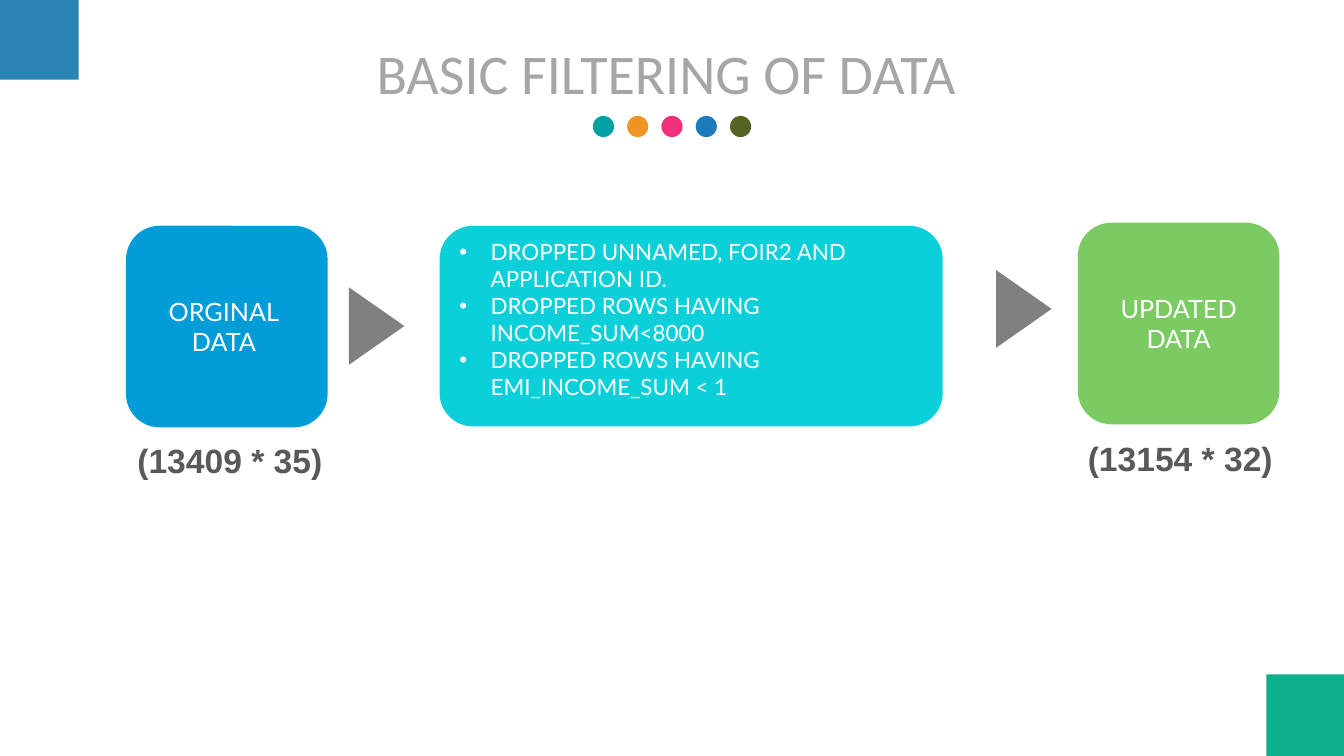
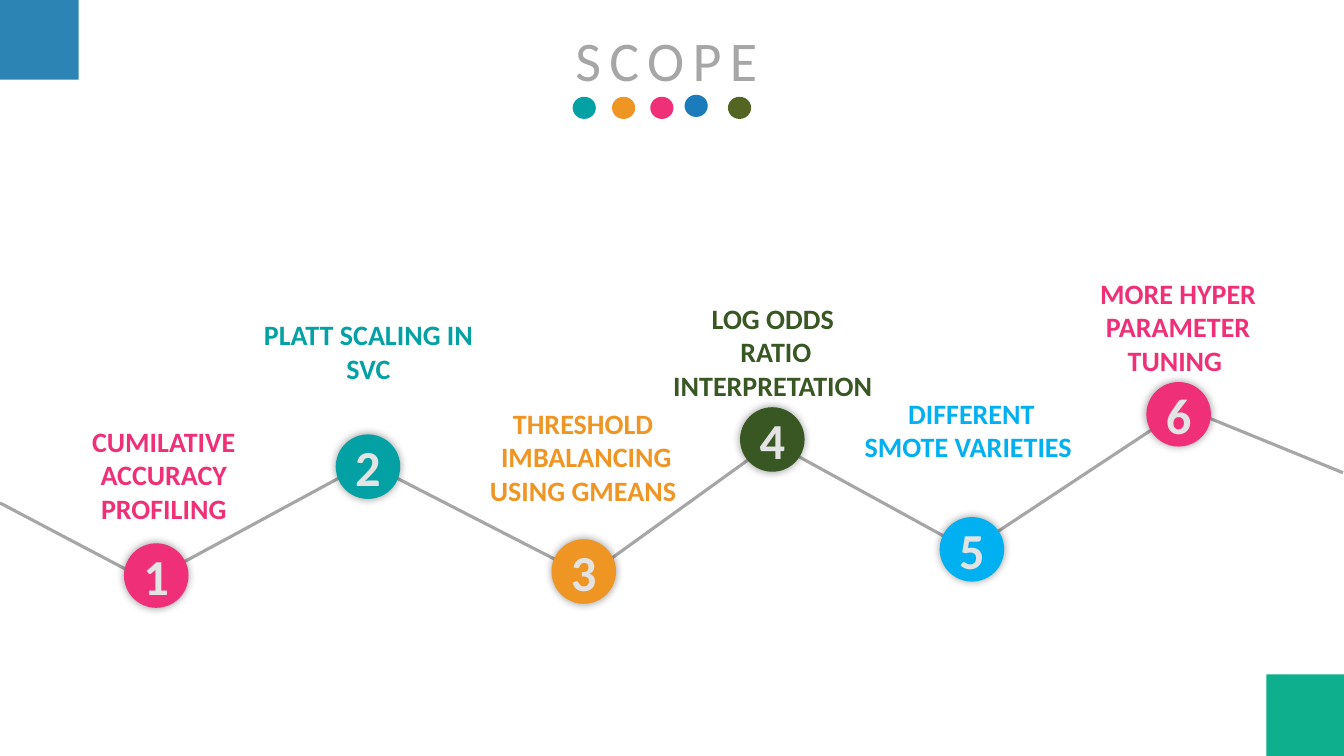
from dataclasses import dataclass

from lxml import etree
from pptx import Presentation
from pptx.dml.color import RGBColor
from pptx.enum.shapes import MSO_CONNECTOR, MSO_SHAPE
from pptx.enum.text import MSO_ANCHOR, MSO_AUTO_SIZE, PP_ALIGN
from pptx.oxml.ns import qn
from pptx.util import Inches, Pt


@dataclass(frozen=True)
class TextStyle:
    size: int
    font: str
    color: str
    bold: bool = False


class Theme:
    TEAL, ORANGE, PINK = "03A1A4", "EE9524", "EF3078"
    BLUE, OLIVE = "1C7CBB", "546422"
    FOREST, SKY = "385723", "00B0F0"
    CARD_BLUE, CARD_CYAN, CARD_GREEN = "009DD9", "0BD0D9", "7CCA62"
    CORNER_BLUE, CORNER_GREEN = "2C84B4", "0EAF8D"
    ARROW, PATH = "808080", "A6A6A6"
    DOTS = (TEAL, ORANGE, PINK, BLUE, OLIVE)

    TITLE = TextStyle(40, "Calibri", "A6A6A6")
    CARD = TextStyle(18, "Lato", "FFFFFF")
    STEPS = TextStyle(16, "Lato", "FFFFFF")
    COUNT = TextStyle(24, "Arial", "595959", True)
    NUMBER = TextStyle(36, "Calibri", "E3E3E3", True)
    LABEL_SIZE, LABEL_FONT = 20, "Calibri"


TITLE_AND_BODY, TITLE_ONLY = 1, 5

# number colour, circle left and top, label left, top and height, label lines
MILESTONES = (
    (Theme.PINK, 1.23, 5.39, 0.46, 4.16, 1.11, ["CUMILATIVE ACCURACY PROFILING"]),
    (Theme.TEAL, 3.33, 4.31, 2.49, 3.1, 0.77, ["PLATT SCALING IN SVC"]),
    (Theme.ORANGE, 5.47, 5.35, 4.65, 3.98, 1.11,
     ["THRESHOLD ", "IMBALANCING USING GMEANS "]),
    (Theme.FOREST, 7.34, 4.04, 6.5, 2.94, 1.11,
     ["LOG ODDS", " RATIO INTERPRETATION"]),
    (Theme.SKY, 9.32, 5.13, 8.47, 3.88, 0.77, ["DIFFERENT SMOTE VARIETIES "]),
    (Theme.PINK, 11.37, 3.79, 10.52, 2.69, 1.11, ["MORE HYPER PARAMETER TUNING "]),
)

PATH_SEGMENTS = (
    (0, 4.99, 1.48, 5.77),
    (1.63, 5.68, 3.57, 4.63),
    (3.89, 4.72, 5.76, 5.68),
    (5.87, 5.68, 7.59, 4.44),
    (7.63, 4.37, 9.6, 5.45),
    (9.78, 5.35, 11.61, 4.14),
    (11.9, 4.11, 13.32, 4.69),
)


def box(left, top, width, height):
    return Inches(left), Inches(top), Inches(width), Inches(height)


def place(shape, bounds):
    shape.left, shape.top, shape.width, shape.height = bounds


def write(frame, lines, style, align=PP_ALIGN.CENTER, anchor=MSO_ANCHOR.TOP):
    frame.word_wrap = True
    frame.auto_size = MSO_AUTO_SIZE.NONE
    frame.vertical_anchor = anchor
    frame.text = "\n".join(lines)
    for paragraph in frame.paragraphs:
        paragraph.alignment = align
        font = paragraph.font
        font.size, font.name, font.bold = Pt(style.size), style.font, style.bold
        font.color.rgb = RGBColor.from_string(style.color)


def paint(shape, color):
    shape.fill.solid()
    shape.fill.fore_color.rgb = RGBColor.from_string(color)
    shape.line.fill.background()


def add_block(slide, preset, bounds, color):
    block = slide.shapes.add_shape(preset, *bounds)
    block.shadow.inherit = False
    paint(block, color)
    return block


def add_label(slide, bounds, lines, style, **layout):
    label = slide.shapes.add_textbox(*bounds)
    write(label.text_frame, lines, style, **layout)


def add_corners(prs, slide):
    """Draw the corner squares and move them to the slide master."""
    master_tree = prs.slide_master.shapes.element
    corners = (
        (box(0, 0, 0.78, 0.79), Theme.CORNER_BLUE),
        (box(12.56, 6.69, 0.78, 0.81), Theme.CORNER_GREEN),
    )
    for order, (bounds, color) in enumerate(corners):
        corner = add_block(slide, MSO_SHAPE.RECTANGLE, bounds, color).element
        corner.nvSpPr.cNvPr.set("id", str(100 + order))
        master_tree.insert(2 + order, corner)


def set_title(slide, text, bounds, spacing=0):
    title = slide.shapes.title
    place(title, bounds)
    write(title.text_frame, [text], Theme.TITLE)
    if spacing:
        run = title.text_frame.paragraphs[0].runs[0]
        run._r.get_or_add_rPr().set("spc", str(spacing * 100))


def add_dots(slide, corners, width, height):
    for (left, top), color in zip(corners, Theme.DOTS):
        add_block(slide, MSO_SHAPE.OVAL, box(left, top, width, height), color)


def add_card(slide, left, top, lines, color):
    card = add_block(slide, MSO_SHAPE.ROUNDED_RECTANGLE, box(left, top, 2, 2), color)
    write(card.text_frame, lines, Theme.CARD, anchor=MSO_ANCHOR.MIDDLE)


def add_arrow(slide, left, top):
    arrow = add_block(slide, MSO_SHAPE.ISOSCELES_TRIANGLE,
                      box(left, top, 0.77, 0.55), Theme.ARROW)
    arrow.rotation = 90


def fill_steps(steps, lines):
    """Turn the body placeholder into a rounded panel with a bulleted list."""
    place(steps, box(4.36, 2.24, 4.99, 1.99))
    geometry = etree.SubElement(steps.element.spPr, qn("a:prstGeom"), prst="roundRect")
    etree.SubElement(geometry, qn("a:avLst"))
    paint(steps, Theme.CARD_CYAN)
    write(steps.text_frame, lines, Theme.STEPS, align=PP_ALIGN.LEFT)
    steps.text_frame.margin_top = Inches(0.03)
    for paragraph in steps.text_frame.paragraphs:
        paragraph.space_before = Pt(0)
        properties = paragraph._p.get_or_add_pPr()
        properties.set("marL", str(Inches(0.31)))
        properties.set("indent", str(-Inches(0.31)))


def add_glow(shape):
    """Give the shape a soft, centred shadow."""
    effects = shape.element.spPr.find(qn("a:effectLst"))
    shadow = etree.SubElement(effects, qn("a:outerShdw"), blurRad=str(Pt(6)),
                              dist="0", dir="0", algn="ctr", rotWithShape="0")
    tint = etree.SubElement(shadow, qn("a:srgbClr"), val="000000")
    etree.SubElement(tint, qn("a:alpha"), val="40000")


def add_path_segment(slide, ends):
    segment = slide.shapes.add_connector(MSO_CONNECTOR.STRAIGHT, *map(Inches, ends))
    segment.line.width = Pt(2.25)
    segment.line.color.rgb = RGBColor.from_string(Theme.PATH)
    etree.SubElement(segment.element.spPr, qn("a:effectLst"))


def add_number(slide, number, left, top, color):
    circle = add_block(slide, MSO_SHAPE.OVAL, box(left, top, 0.64, 0.64), color)
    add_glow(circle)
    frame = circle.text_frame
    write(frame, [str(number)], Theme.NUMBER, anchor=MSO_ANCHOR.MIDDLE)
    frame.word_wrap = False
    frame.margin_left = frame.margin_right = 0
    frame.margin_top = frame.margin_bottom = 0


def build_filtering(slide):
    set_title(slide, "BASIC FILTERING OF DATA ", box(2.69, 0.33, 7.96, 0.77))
    add_dots(slide, [(5.88 + 0.34 * i, 1.15) for i in range(5)], 0.21, 0.21)
    add_card(slide, 1.25, 2.24, ["ORGINAL ", "DATA "], Theme.CARD_BLUE)
    fill_steps(slide.placeholders[1], [
        "DROPPED UNNAMED, FOIR2 AND APPLICATION ID.",
        "DROPPED ROWS HAVING INCOME_SUM<8000",
        "DROPPED ROWS HAVING EMI_INCOME_SUM < 1",
    ])
    add_card(slide, 10.69, 2.21, ["UPDATED DATA"], Theme.CARD_GREEN)
    add_arrow(slide, 3.35, 2.96)
    add_arrow(slide, 9.77, 2.79)
    add_label(slide, box(1.03, 4.32, 2.5, 0.77), ["(13409 * 35)"], Theme.COUNT)
    add_label(slide, box(10.69, 4.11, 2.18, 0.86), ["(13154 * 32)"], Theme.COUNT,
              align=PP_ALIGN.LEFT, anchor=MSO_ANCHOR.MIDDLE)


def build_scope(slide):
    set_title(slide, "SCOPE", box(1.63, 0.2, 9.96, 0.77), spacing=6)
    dots = [(5.68, 0.96), (6.07, 0.96), (6.45, 0.96), (6.79, 0.94), (7.22, 0.96)]
    add_dots(slide, dots, 0.23, 0.22)
    for ends in PATH_SEGMENTS:
        add_path_segment(slide, ends)
    for number, milestone in enumerate(MILESTONES, start=1):
        color, left, top, label_left, label_top, label_height, lines = milestone
        add_number(slide, number, left, top, color)
        style = TextStyle(Theme.LABEL_SIZE, Theme.LABEL_FONT, color, True)
        add_label(slide, box(label_left, label_top, 2.33, label_height), lines, style)


def main():
    prs = Presentation()
    prs.slide_width, prs.slide_height = Inches(13.33), Inches(7.5)
    filtering = prs.slides.add_slide(prs.slide_layouts[TITLE_AND_BODY])
    scope = prs.slides.add_slide(prs.slide_layouts[TITLE_ONLY])
    add_corners(prs, filtering)
    build_filtering(filtering)
    build_scope(scope)
    prs.save("out.pptx")


if __name__ == "__main__":
    main()
